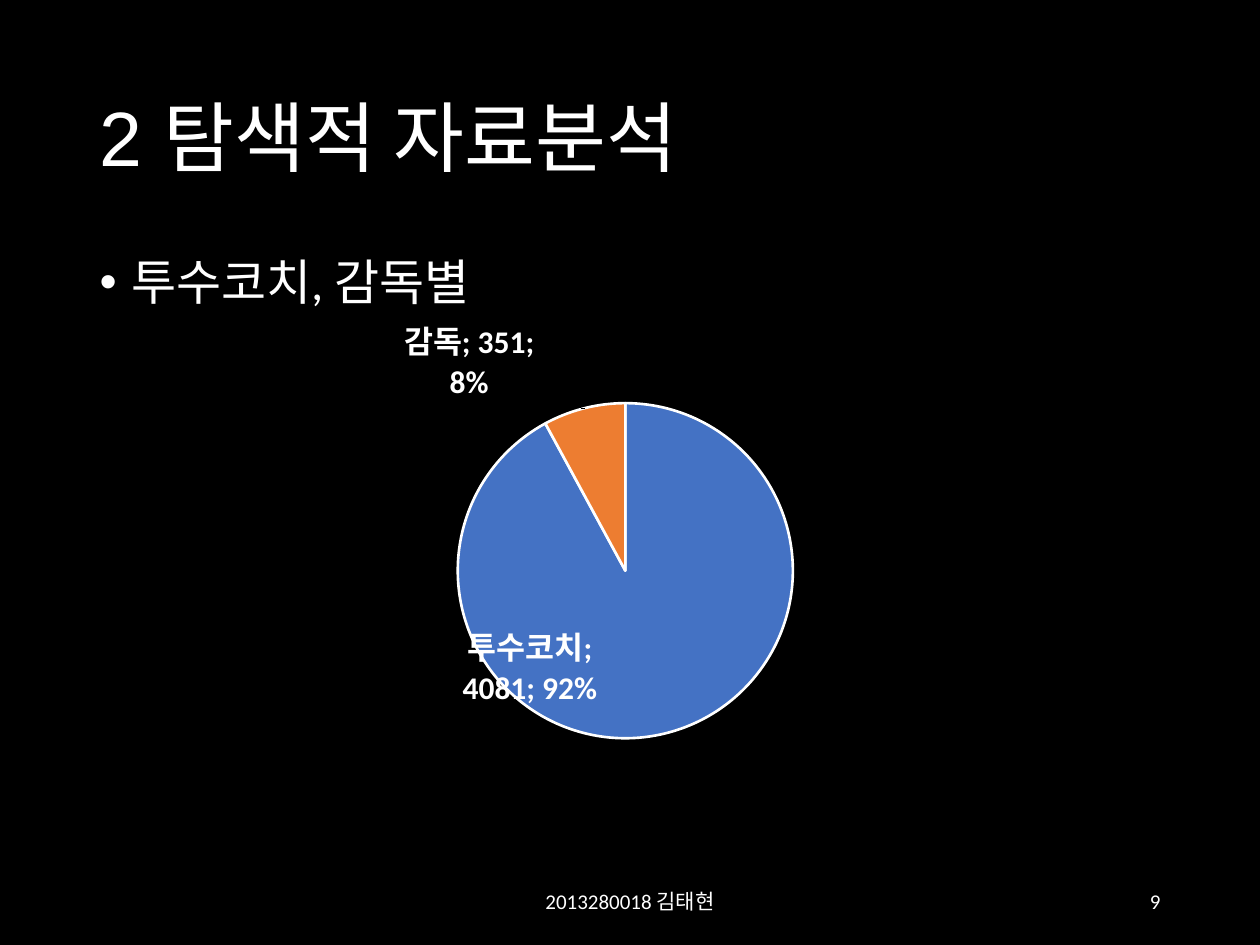
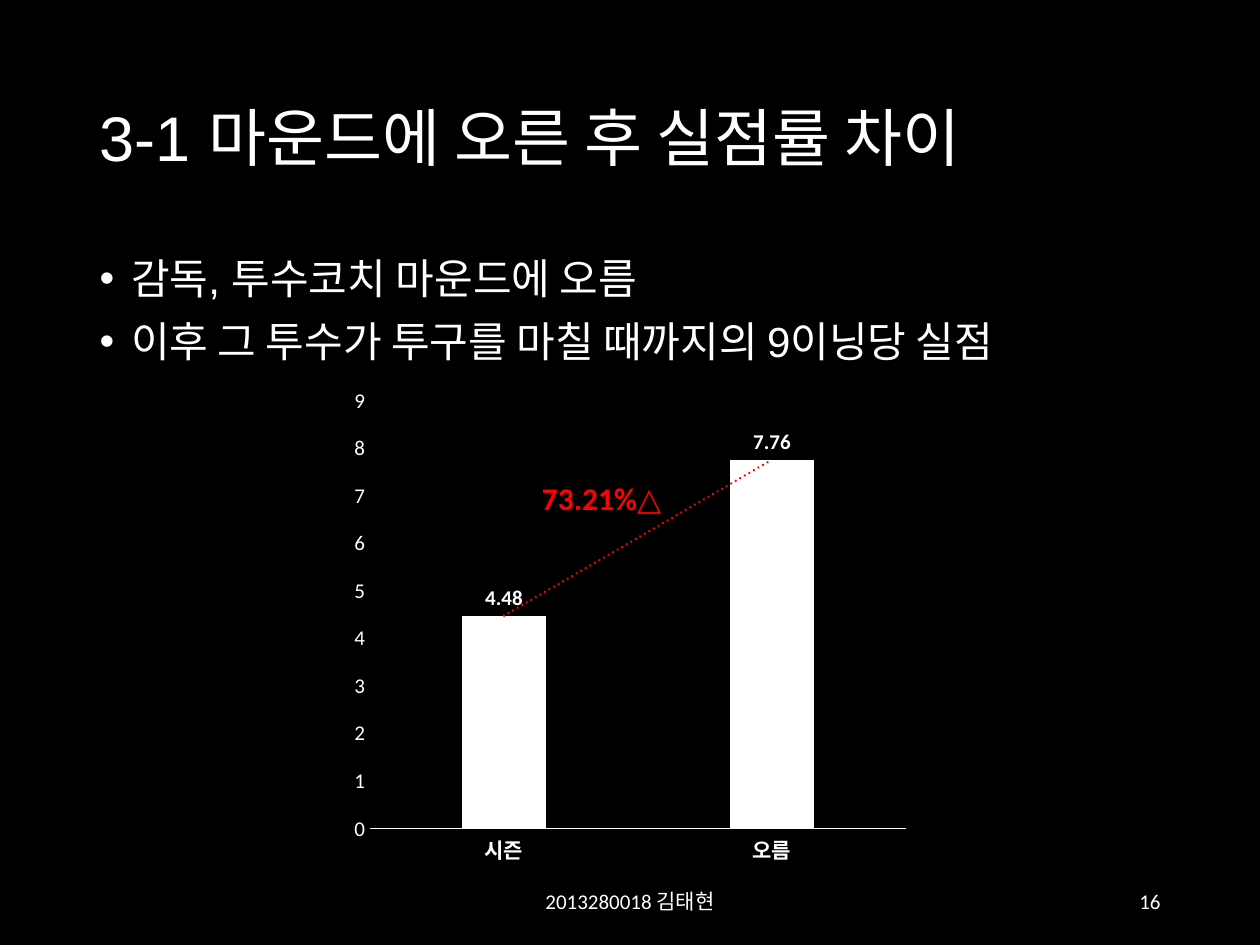
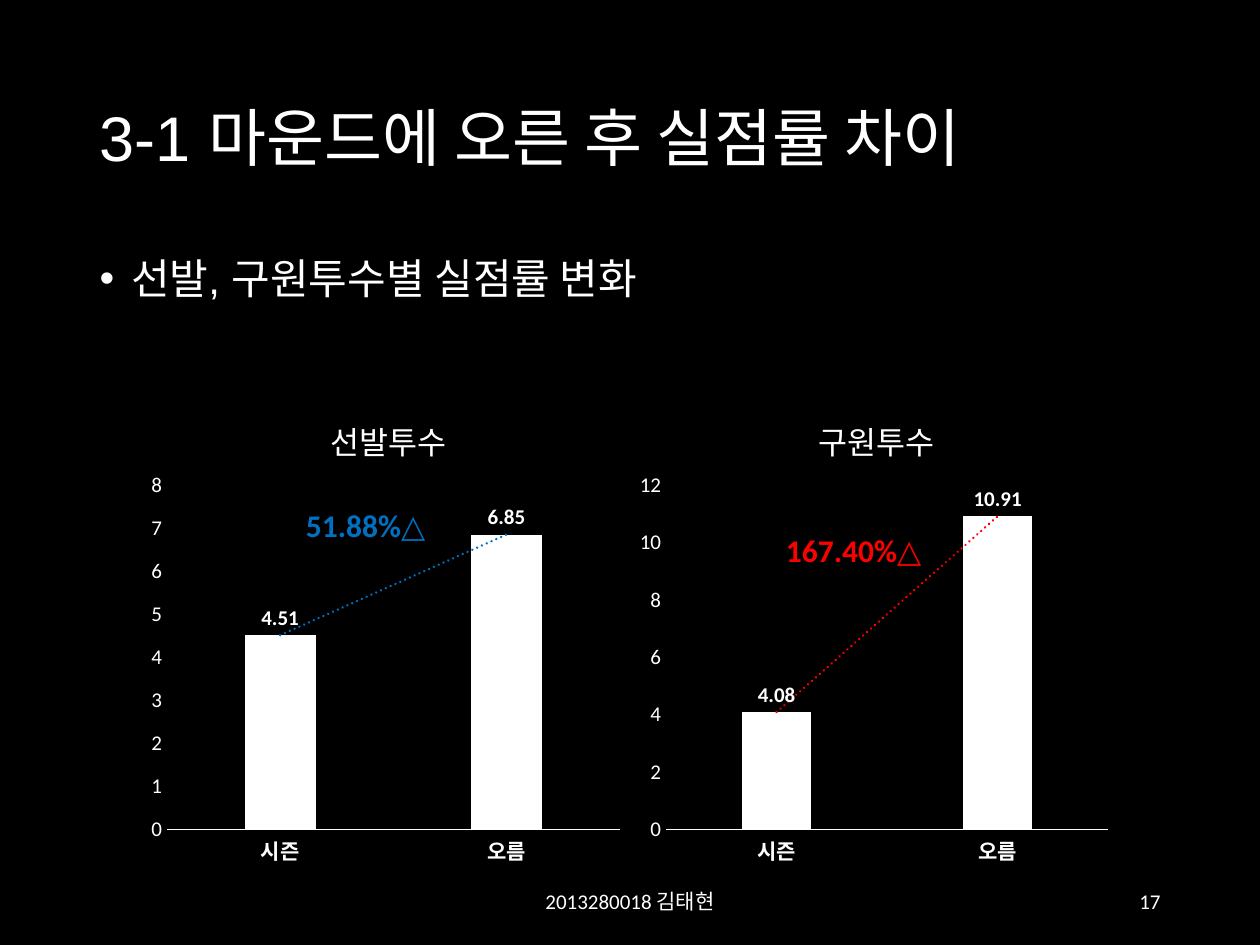
from pptx import Presentation
from pptx import util as u
from pptx.chart.data import CategoryChartData
from pptx.dml.color import RGBColor
from pptx.enum import chart as ch, text as t
from pptx.oxml import parse_xml
from pptx.oxml.ns import nsdecls, qn

WHITE = RGBColor(0xFF, 0xFF, 0xFF)
BLACK = RGBColor(0x00, 0x00, 0x00)
RED = RGBColor(0xFF, 0x00, 0x00)
BLUE = RGBColor(0x00, 0x70, 0xC0)
SLICES = [RGBColor(0x44, 0x72, 0xC4), RGBColor(0xED, 0x7D, 0x31)]
SANS, BODY = "Arial", "Calibri"
TITLE, LIST = (87, 50, 1086, 183), (87, 252, 1086, 600)
FOOT, PAGE = (417, 876, 426, 50), (890, 876, 283, 50)
AUTHOR = "2013280018 김태현"


def px(n):
    """Turn pixels into EMU."""
    return u.Emu(round(n * 914400 / 126))


def place(shape, box):
    """Move a shape to a pixel box."""
    shape.left, shape.top, shape.width, shape.height = map(px, box)


def style(font, size, color=WHITE, face=BODY, bold=False):
    """Set the look of a font."""
    font.size, font.name, font.bold = u.Pt(size), face, bold
    font.color.rgb = color


def add_run(para, words, *look):
    """Add one formatted run."""
    run = para.add_run()
    run.text = words
    style(run.font, *look)


def add_note(slide, box, runs, align, anchor=t.MSO_ANCHOR.MIDDLE, right=12.6):
    """Add a one-line text box made of (words, look) runs."""
    frame = slide.shapes.add_textbox(*map(px, box)).text_frame
    frame.word_wrap = True
    frame.vertical_anchor = anchor
    frame.margin_right = px(right)
    para = frame.paragraphs[0]
    para.alignment = align
    for words, look in runs:
        add_run(para, words, *look)


def add_base(deck, page, title, size, lines, lead, face):
    """Add a slide with title, list and footers."""
    slide = deck.slides.add_slide(deck.slide_layouts[1])
    fill = slide.background.fill
    fill.solid()
    fill.fore_color.rgb = BLACK
    head, body = slide.placeholders
    for shape, box in ((head, TITLE), (body, LIST)):
        place(shape, box)
        shape.text_frame.auto_size = t.MSO_AUTO_SIZE.NONE
    head.text_frame.vertical_anchor = t.MSO_ANCHOR.MIDDLE
    para = head.text_frame.paragraphs[0]
    para.alignment, para.line_spacing = t.PP_ALIGN.LEFT, 0.9
    add_run(para, title, size, WHITE, SANS)
    for i, words in enumerate(lines):
        para = body.text_frame.add_paragraph() if i else body.text_frame.paragraphs[0]
        para.line_spacing, para.space_before = 0.9, u.Pt(10)
        props = para._p.get_or_add_pPr()
        props.set("marL", str(u.Inches(0.25)))
        props.set("indent", str(-u.Inches(0.25)))
        add_run(para, words, lead, WHITE, face)
    add_note(slide, FOOT, [(AUTHOR, (12,))], t.PP_ALIGN.CENTER)
    add_note(slide, PAGE, [(str(page), (12,))], t.PP_ALIGN.RIGHT)
    return slide


def make_layout(x, y, w=None, h=None):
    """Make a manual chart layout from fractions."""
    inner = '<c:layoutTarget val="inner"/>' if w else ""
    modes = '<c:xMode val="edge"/><c:yMode val="edge"/>' if w else ""
    sizes = f'<c:w val="{w:.3f}"/><c:h val="{h:.3f}"/>' if w else ""
    return parse_xml(
        f'<c:layout {nsdecls("c")}><c:manualLayout>{inner}{modes}'
        f'<c:x val="{x:.3f}"/><c:y val="{y:.3f}"/>{sizes}</c:manualLayout></c:layout>')


def add_chart(slide, kind, box, area, cats, vals):
    """Add a clear chart whose plot fills a pixel area inside its box."""
    data = CategoryChartData()
    data.categories = cats
    data.add_series("Series 1", vals)
    chart = slide.shapes.add_chart(kind, *map(px, box), data).chart
    chart.has_legend = chart.has_title = False
    style(chart.font, 10)
    space = chart._chartSpace
    plot = space.chart.plotArea
    for old in plot.findall(qn("c:layout")):
        plot.remove(old)
    left, top, wide, high = box
    x, y, w, h = area
    plot.insert(0, make_layout(x / wide, y / high, w / wide, h / high))
    clear = f'<c:spPr {nsdecls("c", "a")}><a:noFill/><a:ln><a:noFill/></a:ln></c:spPr>'
    plot.append(parse_xml(clear))
    space.chart.addnext(parse_xml(clear))
    return chart


def show_parts(label):
    """Show category, value and share in a label element."""
    for name in ("showCatName", "showVal", "showPercent"):
        label.find(qn("c:" + name)).set("val", "1")
    last = label.find(qn("c:showBubbleSize"))
    last = label.find(qn("c:showPercent")) if last is None else last
    last.addnext(parse_xml(f'<c:separator {nsdecls("c")}>; </c:separator>'))


def add_pie(slide, box):
    """Add the pie of mound visits with shifted labels."""
    chart = add_chart(slide, ch.XL_CHART_TYPE.PIE, box, (248, 112, 335, 336),
                      ["투수코치", "감독"], [4081, 351])
    ser = chart.plots[0].series[0]
    labels = ser.data_labels
    labels.position = ch.XL_LABEL_POSITION.OUTSIDE_END
    style(labels.font, 18, WHITE, BODY, True)
    show_parts(labels._element)
    for i, shift in enumerate([(-0.245, -0.21), (-0.057, 0)]):
        point = ser.points[i]
        point.format.fill.solid()
        point.format.fill.fore_color.rgb = SLICES[i]
        point.format.line.color.rgb = WHITE
        point.format.line.width = u.Pt(1.5)
        label = point.data_label
        style(label.font, 18, WHITE, BODY, True)
        label.position = ch.XL_LABEL_POSITION.OUTSIDE_END
        part = label._get_or_add_dLbl()
        show_parts(part)
        part.find(qn("c:idx")).addnext(make_layout(*shift))


def add_trend(ser, color):
    """Add a dotted linear trend line to a series."""
    ser._element.find(qn("c:cat")).addprevious(parse_xml(
        f'<c:trendline {nsdecls("c", "a")}><c:spPr><a:ln w="19050" cap="rnd"><a:solidFill>'
        f'<a:srgbClr val="{color}"/></a:solidFill><a:prstDash val="sysDot"/></a:ln></c:spPr>'
        '<c:trendlineType val="linear"/><c:dispRSqr val="0"/><c:dispEq val="0"/></c:trendline>'))


def add_bars(slide, box, area, vals, top, step, color, title=None):
    """Add a two-column chart with a trend line."""
    chart = add_chart(slide, ch.XL_CHART_TYPE.COLUMN_CLUSTERED, box, area,
                      ["시즌", "오름"], vals)
    if title:
        chart.has_title = True
        add_run(chart.chart_title.text_frame.paragraphs[0], title, 18)
        head = chart.chart_title._element
        for old in head.findall(qn("c:layout")):
            head.remove(old)
        spot = make_layout(0.375, 0.06, 0.25, 0.1)
        form = spot[0]
        for name in ("layoutTarget", "w", "h"):
            form.remove(form.find(qn("c:" + name)))
        head.find(qn("c:tx")).addnext(spot)
    plot = chart.plots[0]
    plot.gap_width, plot.overlap, plot.vary_by_categories = 219, -27, False
    ser = plot.series[0]
    ser.format.fill.solid()
    ser.format.fill.fore_color.rgb = WHITE
    labels = ser.data_labels
    labels.show_value = True
    labels.position = ch.XL_LABEL_POSITION.OUTSIDE_END
    style(labels.font, 12, WHITE, BODY, True)
    add_trend(ser, color)
    cat, val = chart.category_axis, chart.value_axis
    for axis in (cat, val):
        axis.has_major_gridlines = False
        axis.major_tick_mark = axis.minor_tick_mark = ch.XL_TICK_MARK.NONE
        style(axis.tick_labels.font, 12, WHITE, BODY, axis is cat)
    cat.format.line.color.rgb = WHITE
    cat.format.line.width = u.Pt(0.75)
    val.format.line.fill.background()
    val.minimum_scale, val.maximum_scale, val.major_unit = 0, top, step


def add_rise(slide, left, top, runs, color):
    """Add the rise in percent above a trend line."""
    add_note(slide, (left, top, 214, 50),
             [(words, (18, color, BODY, bold)) for words, bold in runs],
             t.PP_ALIGN.CENTER, t.MSO_ANCHOR.TOP, 29)


def main():
    """Build and save the deck."""
    deck = Presentation()
    deck.slide_width, deck.slide_height = px(1260), px(945)

    slide = add_base(deck, 9, "2 탐색적 자료분석", 44, ["투수코치, 감독별"], 28, BODY)
    add_pie(slide, (210, 291, 840, 559))

    rate = "3-1 마운드에 오른 후 실점률 차이"
    slide = add_base(deck, 16, rate, 36,
                     ["감독, 투수코치 마운드에 오름",
                      "이후 그 투수가 투구를 마칠 때까지의 9이닝당 실점"], 24, SANS)
    add_bars(slide, (343, 379, 574, 496), (27, 22, 536, 428), [4.48, 7.76], 9, 1, RED)
    add_rise(slide, 503, 473, [("73.21%", True), ("△", False)], RED)

    slide = add_base(deck, 17, rate, 36, ["선발, 구원투수별 실점률 변화"], 24, SANS)
    add_bars(slide, (142, 379, 488, 496), (25, 106, 453, 344),
             [4.51, 6.85], 8, 1, BLUE, "선발투수")
    add_rise(slide, 267, 500, [("51.88%△", True)], BLUE)
    add_bars(slide, (630, 379, 488, 496), (36, 106, 442, 344),
             [4.08, 10.91], 12, 2, RED, "구원투수")
    add_rise(slide, 755, 525, [("167.40%△", True)], RED)
    deck.save("out.pptx")


main()
